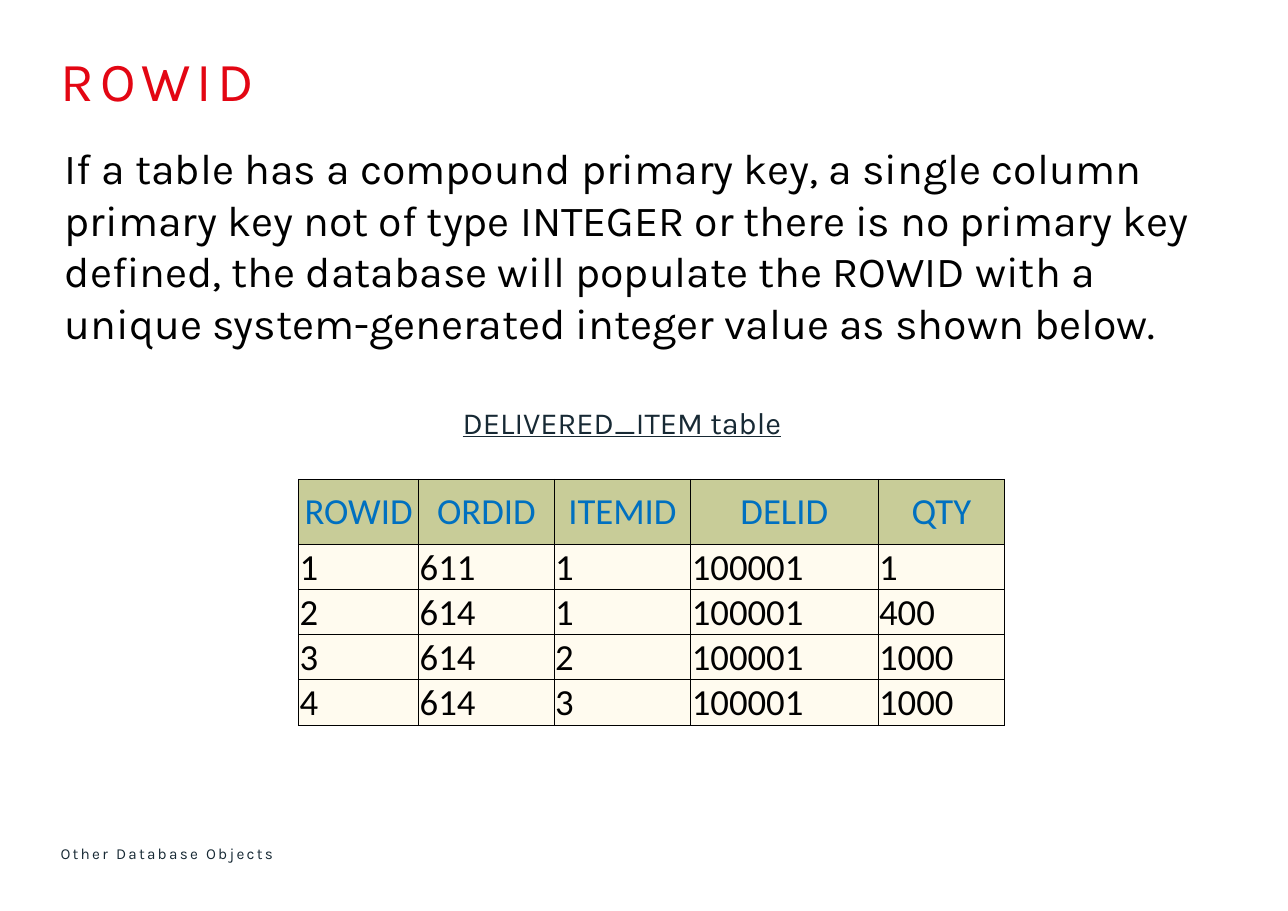
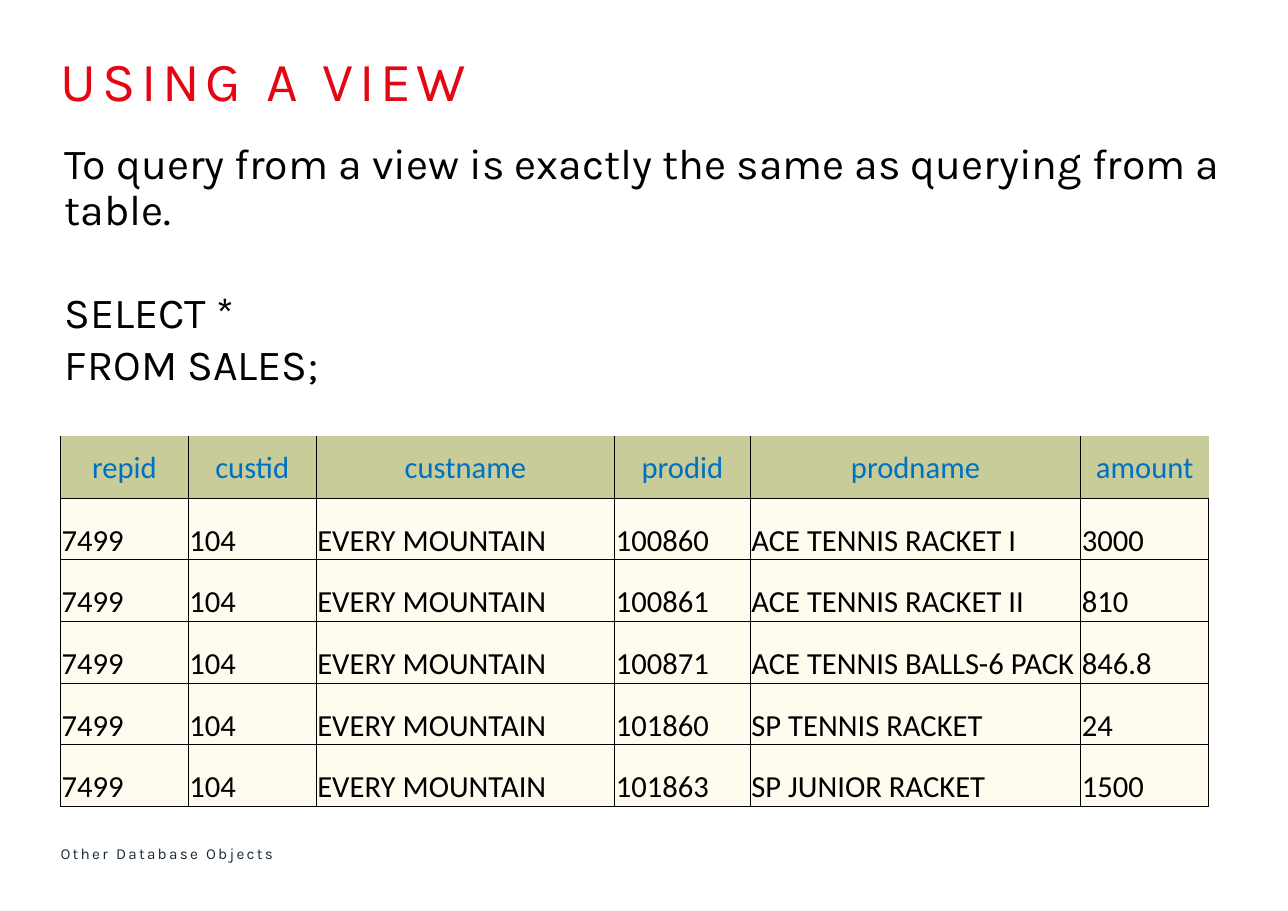
from lxml import etree
from pptx import Presentation
from pptx.dml.color import RGBColor
from pptx.enum.shapes import MSO_SHAPE
from pptx.enum.text import MSO_ANCHOR, MSO_AUTO_SIZE, PP_ALIGN
from pptx.oxml.ns import qn
from pptx.util import Inches, Pt

RECTANGLE = MSO_SHAPE.RECTANGLE
TOP, MIDDLE, BOTTOM = MSO_ANCHOR.TOP, MSO_ANCHOR.MIDDLE, MSO_ANCHOR.BOTTOM
LEFT, CENTER = PP_ALIGN.LEFT, PP_ALIGN.CENTER
GROW = MSO_AUTO_SIZE.SHAPE_TO_FIT_TEXT

RED = RGBColor(0xE3, 0x06, 0x13)
BLACK = RGBColor(0, 0, 0)
WHITE = RGBColor(0xFF, 0xFF, 0xFF)
NAVY = RGBColor(0x17, 0x29, 0x34)
BLUE = RGBColor(0x00, 0x70, 0xC0)
OLIVE = RGBColor(0xC8, 0xCC, 0x98)
CREAM = RGBColor(0xFF, 0xFB, 0xEF)

TEXT_FONT, TABLE_FONT = "Karla", "Calibri"
TITLE_BOX = (0.55, 0.42, 10.71, 0.62)
FOOTER_BOX = (0.55, 7.64, 7.29, 0.22)
BORDER_SIDES = "LRTB"
BORDER_WIDTH = Pt(0.5)


def inches(box):
    return [Inches(length) for length in box]


def write(paragraph, text, size, color, font=TEXT_FONT, align=LEFT,
          underline=None, tracking=None, line_spacing=None, space_before=None):
    """Add text to a paragraph; sizes, tracking and space are in points."""
    paragraph.alignment = align
    if line_spacing:
        paragraph.line_spacing = line_spacing
    if space_before:
        paragraph.space_before = Pt(space_before)
    run = paragraph.add_run()
    run.text = text
    run.font.size = Pt(size)
    run.font.name = font
    run.font.color.rgb = color
    run.font.underline = underline
    if tracking:
        run.font._element.set("spc", str(round(tracking * 100)))


def add_label(slide, box, text, anchor=TOP, **text_format):
    """Place one line of text in a box without margins."""
    frame = slide.shapes.add_textbox(*inches(box)).text_frame
    frame.word_wrap = True
    frame.vertical_anchor = anchor
    frame.margin_left = frame.margin_right = 0
    frame.margin_top = frame.margin_bottom = 0
    write(frame.paragraphs[0], text, **text_format)


def add_body(slide, box, paragraphs):
    """Place (text, format) pairs on a white panel."""
    panel = slide.shapes.add_shape(RECTANGLE, *inches(box))
    panel.shadow.inherit = False
    panel.fill.solid()
    panel.fill.fore_color.rgb = WHITE
    panel.line.fill.background()
    frame = panel.text_frame
    frame.word_wrap = True
    frame.auto_size = GROW
    frame.vertical_anchor = TOP
    for index, (text, text_format) in enumerate(paragraphs):
        paragraph = frame.add_paragraph() if index else frame.paragraphs[0]
        write(paragraph, text, size=28, color=BLACK, **text_format)


def set_borders(cell, open_sides):
    """Draw black borders, except on the open sides."""
    properties = cell._tc.get_or_add_tcPr()
    for side in BORDER_SIDES:
        line = etree.SubElement(properties, qn(f"a:ln{side}"), w=str(BORDER_WIDTH))
        if side in open_sides:
            etree.SubElement(line, qn("a:noFill"))
        else:
            fill = etree.SubElement(line, qn("a:solidFill"))
            etree.SubElement(fill, qn("a:srgbClr"), val=str(BLACK))


def add_data_table(slide, left, top, widths, heights, rows, size, open_header=False):
    """Build a table; an open header has no outer border at its top and right."""
    box = (left, top, sum(widths), sum(heights))
    table = slide.shapes.add_table(len(rows), len(widths), *inches(box)).table
    table.horz_banding = False
    for column, width in zip(table.columns, widths):
        column.width = Inches(width)
    for row, height in zip(table.rows, heights):
        row.height = Inches(height)
    for row_index, values in enumerate(rows):
        header = row_index == 0
        for column_index, value in enumerate(values):
            cell = table.cell(row_index, column_index)
            open_sides = ""
            if header and open_header:
                open_sides = "TR" if column_index == len(values) - 1 else "T"
            set_borders(cell, open_sides)
            cell.fill.solid()
            cell.fill.fore_color.rgb = OLIVE if header else CREAM
            cell.margin_left = cell.margin_right = cell.margin_top = Inches(0.01)
            cell.margin_bottom = 0
            cell.vertical_anchor = MIDDLE if header else BOTTOM
            write(cell.text_frame.paragraphs[0], value, size=size, font=TABLE_FONT,
                  color=BLUE if header else BLACK, align=CENTER if header else LEFT)


def add_titled_slide(deck, title):
    slide = deck.slides.add_slide(deck.slide_layouts[6])
    add_label(slide, TITLE_BOX, title, size=36, color=RED, tracking=3.8)
    add_label(slide, FOOTER_BOX, "Other Database Objects", anchor=MIDDLE,
              size=10, color=NAVY, tracking=1.5)
    return slide


def build_rowid_slide(deck):
    slide = add_titled_slide(deck, "ROWID")
    add_body(slide, (0.49, 1.24, 10.83, 1.99), [
        ("If a table has a compound primary key, a single column primary key not "
         "of type INTEGER or there is no primary key defined, the database will "
         "populate the ROWID with a unique system-generated integer value as "
         "shown below.", {}),
    ])
    add_label(slide, (4.2, 3.67, 3.18, 0.34), "DELIVERED_ITEM table",
              size=20, color=NAVY, underline=True)
    delivered_items = [
        ("ROWID", "ORDID", "ITEMID", "DELID", "QTY"),
        ("1", "611", "1", "100001", "1"),
        ("2", "614", "1", "100001", "400"),
        ("3", "614", "2", "100001", "1000"),
        ("4", "614", "3", "100001", "1000"),
    ]
    add_data_table(slide, 2.71, 4.35, [1.09, 1.23, 1.24, 1.7, 1.15],
                   [0.59] + [0.38] * 4, delivered_items, size=24)


def build_view_slide(deck):
    slide = add_titled_slide(deck, "USING A VIEW")
    add_body(slide, (0.49, 1.24, 10.83, 2.36), [
        ("To query from a view is exactly the same as querying from a table.",
         {"line_spacing": 0.9}),
        ("SELECT *", {"space_before": 33.5}),
        ("FROM SALES;", {}),
    ])
    products = [
        ("100860", "ACE TENNIS RACKET I", "3000"),
        ("100861", "ACE TENNIS RACKET II", "810"),
        ("100871", "ACE TENNIS BALLS-6 PACK", "846.8"),
        ("101860", "SP TENNIS RACKET", "24"),
        ("101863", "SP JUNIOR RACKET", "1500"),
    ]
    sales = [("repid", "custid", "custname", "prodid", "prodname", "amount")]
    sales += [("7499", "104", "EVERY MOUNTAIN", *product) for product in products]
    add_data_table(slide, 0.55, 3.96, [1.16, 1.16, 2.71, 1.23, 3, 1.16],
                   [0.56] * len(sales), sales, size=20, open_header=True)


def main():
    deck = Presentation()
    deck.slide_width, deck.slide_height = Inches(11.69), Inches(8.27)
    build_rowid_slide(deck)
    build_view_slide(deck)
    deck.save("out.pptx")


if __name__ == "__main__":
    main()
